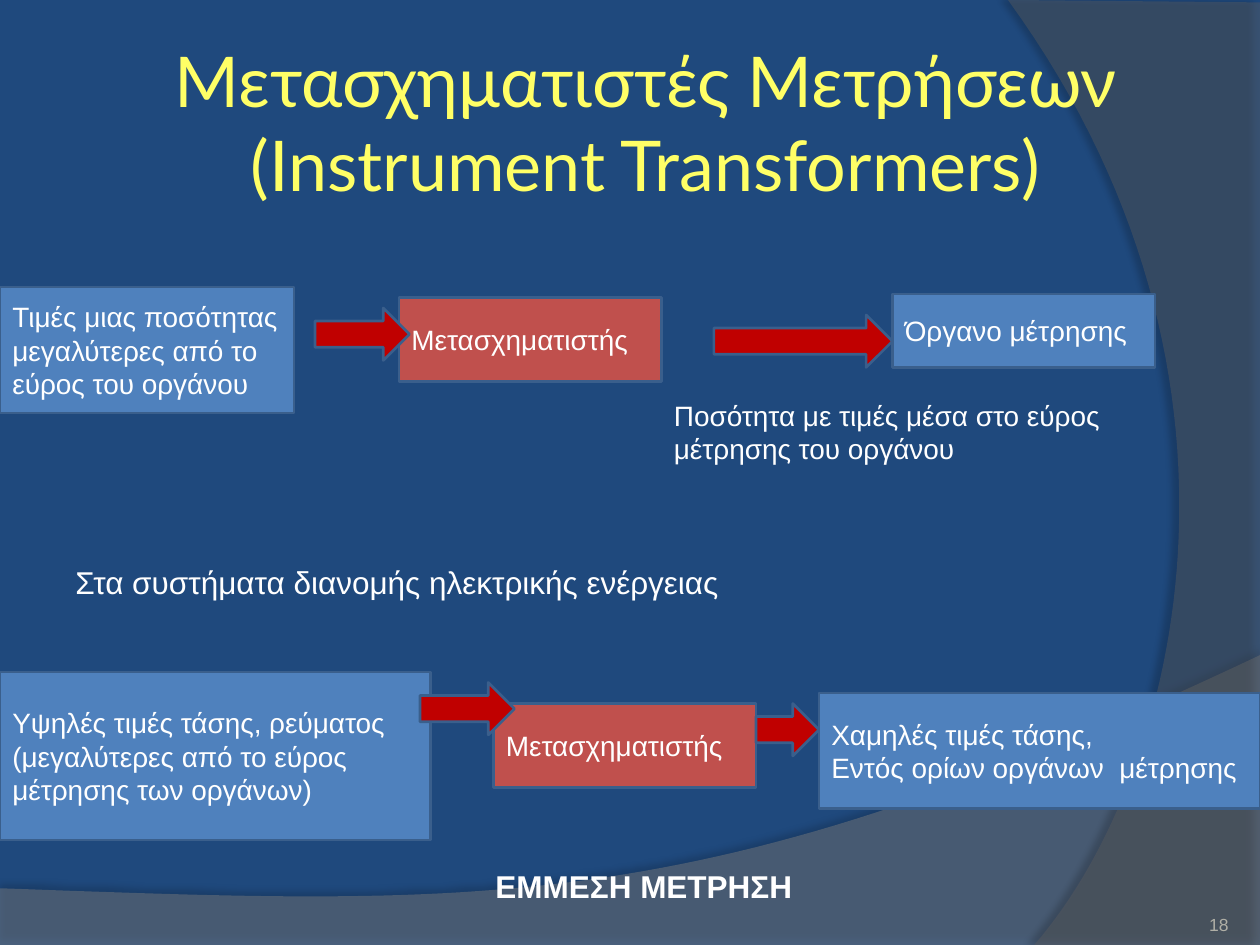
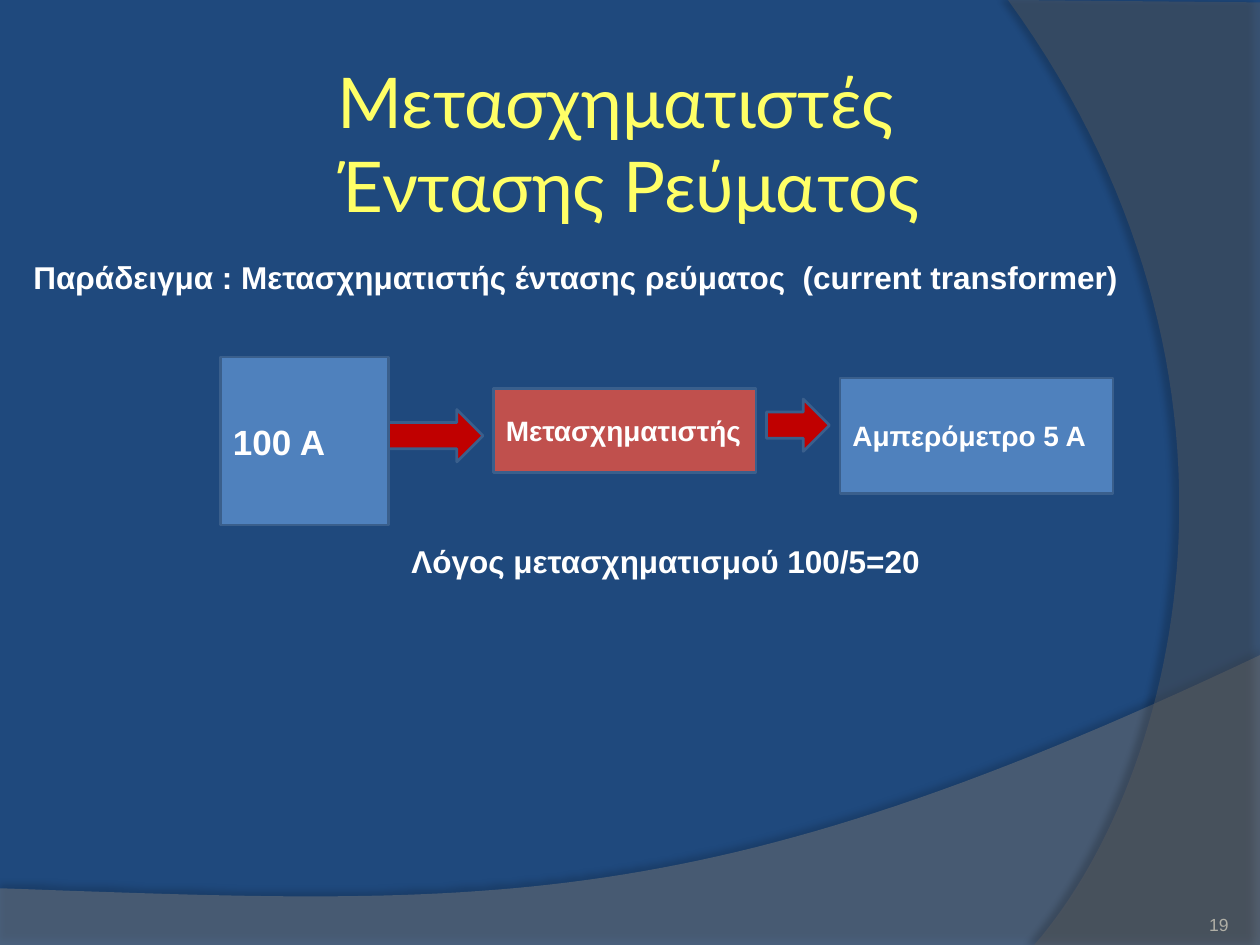
from lxml import etree
from pptx import Presentation
from pptx.dml.color import RGBColor
from pptx.enum.shapes import MSO_SHAPE
from pptx.enum.text import MSO_ANCHOR, PP_ALIGN
from pptx.oxml import parse_xml
from pptx.oxml.ns import qn
from pptx.util import Pt

RECT, ARROW = MSO_SHAPE.RECTANGLE, MSO_SHAPE.RIGHT_ARROW
TOP, MID, LOW = MSO_ANCHOR.TOP, MSO_ANCHOR.MIDDLE, MSO_ANCHOR.BOTTOM
LEFT, CENTER, RIGHT = PP_ALIGN.LEFT, PP_ALIGN.CENTER, PP_ALIGN.RIGHT

NAVY, BLUE, BRICK, RED = "1F497D", "4F81BD", "C0504D", "C00000"
EDGE, WHITE, YELLOW, GRAY = "3A5F8C", "FFFFFF", "FFFF66", "B0AFA6"
WIDTH, HEIGHT = 720, 540
BODY = {"name": "Arial", "size": 16, "bold": False, "color": WHITE}
HEAD = {"name": "Lato", "size": 40, "color": YELLOW}
NOTE = {"size": 18}
BOLD = {"bold": True}
UNIT = (150, 48)  # size of a transformer box
THICK = 30  # height of an arrow

SHADOW = (
    '<a:effectLst xmlns:a="http://schemas.openxmlformats.org/drawingml/2006/main">'
    '<a:outerShdw blurRad="{}" dist="{}" dir="{}" algn="ctr" rotWithShape="0">'
    '<a:srgbClr val="000000"><a:alpha val="{}"/></a:srgbClr>'
    '</a:outerShdw></a:effectLst>'
)


def color(text):
    return RGBColor.from_string(text)


def curve(a, b, c, d, steps=60):
    """Points of a cubic Bezier curve, both ends included."""
    points = []
    for i in range(steps + 1):
        t = i / steps
        u = 1 - t
        points.append(tuple(
            u**3 * p + 3 * u * u * t * q + 3 * u * t * t * r + t**3 * s
            for p, q, r, s in zip(a, b, c, d)))
    return points


class Deck:
    def __init__(self):
        self.show = Presentation()
        self.show.slide_width, self.show.slide_height = Pt(WIDTH), Pt(HEIGHT)
        self.slide = None

    def page(self, number):
        self.slide = self.show.slides.add_slide(self.show.slide_layouts[6])
        fill = self.slide.background.fill
        fill.solid()
        fill.fore_color.rgb = color(NAVY)
        sweep = curve((720, 374.4), (402.5, 525), (281.5, 517.7), (0, 507.6))
        self.band([(0, HEIGHT), (WIDTH, HEIGHT)] + sweep, "7F7F7F", 45, 35, 3.5, 270)
        side = curve((591, 540), (673, 445.7), (733, 216), (576, 0))
        self.band([(WIDTH, 1.4), (WIDTH, HEIGHT)] + side, "5E5E5E", 40, 45, 4, 180)
        self.text(642, 505.4, 60, 28.8, [str(number)], {"size": 10, "color": GRAY},
                  align=RIGHT, anchor=LOW, inset=0)

    def band(self, points, tone, alpha, shade, gap, angle):
        """Translucent outline with a soft shadow cast at an angle."""
        spots = [(Pt(x), Pt(y)) for x, y in points]
        draft = self.slide.shapes.build_freeform(*spots[0])
        draft.add_line_segments(spots[1:])
        shape = draft.convert_to_shape()
        shape.fill.solid()
        shape.fill.fore_color.rgb = color(tone)
        shape.line.fill.background()
        props = shape._element.spPr
        tint = props.find(qn("a:solidFill"))[0]
        etree.SubElement(tint, qn("a:alpha"), val=str(alpha * 1000))
        props.append(parse_xml(
            SHADOW.format(Pt(4), Pt(gap), angle * 60000, shade * 1000)))

    def fill_in(self, shape, lines, style, align, anchor):
        """Put one styled paragraph per line into a shape."""
        frame = shape.text_frame
        frame.word_wrap, frame.vertical_anchor = True, anchor
        look = {**BODY, **style}
        look["size"] = Pt(look["size"])
        tone = look.pop("color")
        for i, line in enumerate(lines):
            para = frame.paragraphs[0] if i == 0 else frame.add_paragraph()
            para.alignment = align
            run = para.add_run()
            run.text = line
            for key, value in look.items():
                setattr(run.font, key, value)
            run.font.color.rgb = color(tone)

    def text(self, x, y, w, h, lines, style, align=LEFT, anchor=TOP, inset=None):
        box = self.slide.shapes.add_textbox(Pt(x), Pt(y), Pt(w), Pt(h))
        self.fill_in(box, lines, style, align, anchor)
        if inset is not None:
            for edge in ("left", "top", "right", "bottom"):
                setattr(box.text_frame, f"margin_{edge}", Pt(inset))
        return box

    def label(self, x, y, w, line, style):
        """One line that never wraps."""
        box = self.text(x, y, w, 28.8, [line], {**NOTE, **style})
        box.text_frame.word_wrap = False

    def shape(self, kind, x, y, w, h, tone):
        item = self.slide.shapes.add_shape(kind, Pt(x), Pt(y), Pt(w), Pt(h))
        item.shadow.inherit = False
        item.fill.solid()
        item.fill.fore_color.rgb = color(tone)
        item.line.color.rgb = color(EDGE)
        item.line.width = Pt(1.5)
        return item

    def box(self, x, y, w, h, lines, style=BODY, tone=BLUE):
        item = self.shape(RECT, x, y, w, h, tone)
        self.fill_in(item, lines, style, LEFT, MID)

    def unit(self, x, y, style=BODY):
        self.box(x, y, *UNIT, ["Μετασχηματιστής"], style, BRICK)

    def arrow(self, x, y, w):
        self.shape(ARROW, x, y, w, THICK, RED)


def measure(deck):
    deck.page(18)
    deck.text(48, 18, 642, 102,
              ["Μετασχηματιστές Μετρήσεων (Instrument Transformers)"], HEAD, CENTER)

    deck.box(0, 164, 168, 72,
             ["Τιμές μιας ποσότητας μεγαλύτερες από το εύρος του οργάνου"])
    deck.box(510, 168, 150, 42, ["Όργανο μέτρησης"])
    deck.unit(228, 170)
    deck.arrow(180, 176, 54)
    deck.arrow(408, 180, 102)
    deck.text(378, 224, 264, 46,
              ["Ποσότητα με τιμές μέσα στο εύρος μέτρησης του οργάνου"], BODY)

    deck.label(36, 318, 385, "Στα συστήματα διανομής ηλεκτρικής ενέργειας", {})
    deck.box(0, 384, 246, 96, ["Υψηλές τιμές τάσης, ρεύματος",
                               "(μεγαλύτερες από το εύρος μέτρησης των οργάνων)"])
    deck.box(468, 396, 252, 66,
             ["Χαμηλές τιμές τάσης,", "Εντός ορίων οργάνων  μέτρησης"])
    deck.unit(282, 402)
    deck.arrow(240, 390, 54)
    deck.arrow(432, 402, 36)
    deck.label(276, 492, 188.6, "ΕΜΜΕΣΗ ΜΕΤΡΗΣΗ", BOLD)


def current(deck):
    deck.page(19)
    deck.text(186, 30, 360, 114, ["Μετασχηματιστές", "Έντασης Ρεύματος"], HEAD)
    deck.label(12, 144, 641,
               "Παράδειγμα : Μετασχηματιστής έντασης ρεύματος  (current transformer)",
               BOLD)
    deck.box(126, 204, 96, 96, ["100 Α"], {**BOLD, "size": 20})
    deck.box(480, 216, 156, 66, ["Αμπερόμετρο 5 Α"], BOLD)
    deck.unit(282, 222, BOLD)
    deck.arrow(222, 234, 54)
    deck.arrow(438, 228, 36)
    deck.label(228, 306, 308, "Λόγος μετασχηματισμού 100/5=20", BOLD)


def main():
    deck = Deck()
    measure(deck)
    current(deck)
    deck.show.save("out.pptx")


if __name__ == "__main__":
    main()
